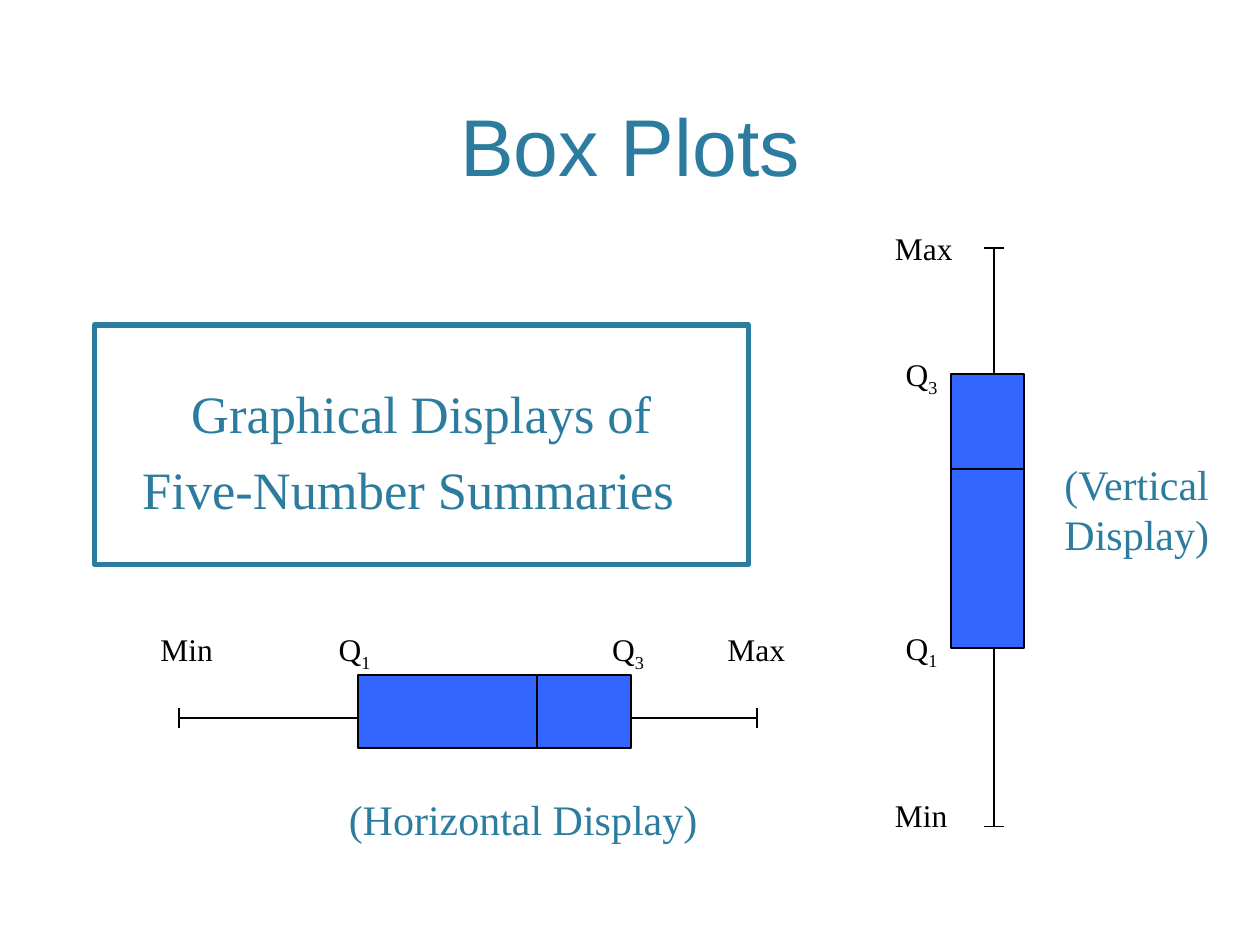
from dataclasses import dataclass

import pptx
import pptx.dml.color
import pptx.enum.shapes
import pptx.enum.text
import pptx.oxml.ns
import pptx.util
from lxml import etree

Inches, Pt = pptx.util.Inches, pptx.util.Pt
RGB = pptx.dml.color.RGBColor
Align, Anchor = pptx.enum.text.PP_ALIGN, pptx.enum.text.MSO_ANCHOR
Box = tuple[float, float, float, float]


@dataclass(frozen=True)
class Theme:
    accent: RGB = RGB(0x2C, 0x7C, 0x9F)
    black: RGB = RGB(0, 0, 0)
    white: RGB = RGB(255, 255, 255)
    quartile: RGB = RGB(0x33, 0x66, 0xFF)
    heading: str = "Arial"
    body: str = "Times New Roman"
    title_size: int = 46
    message_size: int = 30
    caption_size: int = 24
    label_size: int = 18


@dataclass(frozen=True)
class BoxPlot:
    start: float      # slide position of the minimum along the axis
    cross: float      # slide position of the axis itself
    vertical: bool
    caption: str
    caption_box: Box
    caption_wrap: bool

    def point(self, along: float, across: float) -> tuple[float, float]:
        """Slide x, y for a distance from the minimum and from the axis."""
        if self.vertical:
            return self.cross + across, self.start - along
        return self.start + along, self.cross + across


THEME = Theme()
# Distances from the minimum, in inches
Q1, MEDIAN, Q3, MAX = 1.42, 2.84, 3.59, 4.59
BOX_DEPTH, BOX_SHIFT, CAP = 0.58, -0.05, 0.08
LABEL_SHIFT, LABEL_HEIGHT = -0.55, 0.4
# Text, subscript, distance from the minimum, width
LABELS = [("Min", "", 0.09, 0.67), ("Q", "1", Q1, 0.5),
          ("Q", "3", Q3, 0.5), ("Max", "", MAX, 0.67)]
PLOTS = [
    BoxPlot(1.42, 5.7, False, "(Horizontal Display)", (2.67, 6.25, 2.97, 0.5), False),
    BoxPlot(6.56, 7.89, True, "(Vertical Display)", (8.35, 3.59, 1.64, 0.9), True),
]


def style(p, size: int, color: RGB, font: str = THEME.body) -> None:
    for r in p.runs:
        r.font.size, r.font.name = Pt(size), font
        r.font.color.rgb = color


def add_text(shapes, box: Box, text: str, size: int, color: RGB,
             font: str = THEME.body, wrap: bool = True):
    s = shapes.add_textbox(*map(Inches, box))
    tf = s.text_frame
    tf.text, tf.word_wrap = text, wrap
    style(tf.paragraphs[0], size, color, font)
    return tf


def add_rect(shapes, box: Box, fill: RGB, line: RGB, width: float):
    s = shapes.add_shape(pptx.enum.shapes.MSO_SHAPE.RECTANGLE, *map(Inches, box))
    s.shadow.inherit = False
    s.fill.solid()
    s.fill.fore_color.rgb = fill
    s.line.color.rgb, s.line.width = line, Pt(width)
    return s


def add_line(shapes, start: tuple[float, float], end: tuple[float, float]) -> None:
    s = shapes.add_connector(pptx.enum.shapes.MSO_CONNECTOR.STRAIGHT,
                             *map(Inches, start + end))
    s.line.color.rgb, s.line.width = THEME.black, Pt(1)
    etree.SubElement(s._element.spPr, pptx.oxml.ns.qn("a:effectLst"))


def add_title(shapes) -> None:
    tf = add_text(shapes, (0.6, 0.12, 8.8, 1.46), "Box Plots",
                  THEME.title_size, THEME.accent, THEME.heading)
    tf.vertical_anchor = Anchor.BOTTOM
    tf.paragraphs[0].alignment = Align.CENTER


def add_message(shapes) -> None:
    s = add_rect(shapes, (0.75, 2.58, 5.19, 1.9), THEME.white, THEME.accent, 3)
    tf = s.text_frame
    tf.text = "Graphical Displays of\nFive-Number Summaries"
    tf.word_wrap, tf.vertical_anchor = True, Anchor.MIDDLE
    tf.margin_top = Inches(0.14)
    for p in tf.paragraphs:
        p.alignment = Align.CENTER
        style(p, THEME.message_size, THEME.accent)
    # The second line sits slightly left of centre
    p.space_before = Pt(7)
    p._p.get_or_add_pPr().set("marR", str(Inches(0.21)))


def add_box_plot(shapes, plot: BoxPlot) -> None:
    group = shapes.add_group_shape().shapes

    # Whisker, then the two halves of the box over it
    add_line(group, plot.point(0, 0), plot.point(MAX, 0))
    for low, high in ((MEDIAN, Q3), (Q1, MEDIAN)):
        x, y = plot.point((low + high) / 2, BOX_SHIFT)
        length = high - low
        s = add_rect(group, (x - length / 2, y - BOX_DEPTH / 2, length, BOX_DEPTH),
                     THEME.quartile, THEME.black, 1)
        s.rotation = 270 if plot.vertical else 0

    # End caps
    for along in (0, MAX):
        add_line(group, plot.point(along, -CAP), plot.point(along, CAP))

    # Labels and caption
    for text, sub, along, width in LABELS:
        x, y = plot.point(along, LABEL_SHIFT)
        tf = add_text(group, (x - width / 2, y - LABEL_HEIGHT / 2, width, LABEL_HEIGHT),
                      text, THEME.label_size, THEME.black)
        if sub:
            p = tf.paragraphs[0]
            r = p.add_run()
            r.text = sub
            style(p, THEME.label_size, THEME.black)
            r.font._element.set("baseline", "-25000")
    add_text(group, plot.caption_box, plot.caption, THEME.caption_size,
             THEME.accent, wrap=plot.caption_wrap)


def main() -> None:
    prs = pptx.Presentation()
    prs.slide_width, prs.slide_height = Inches(10), Inches(7.5)
    shapes = prs.slides.add_slide(prs.slide_layouts[6]).shapes
    add_title(shapes)
    add_message(shapes)
    for plot in PLOTS:
        add_box_plot(shapes, plot)
    prs.save("out.pptx")


if __name__ == "__main__":
    main()
